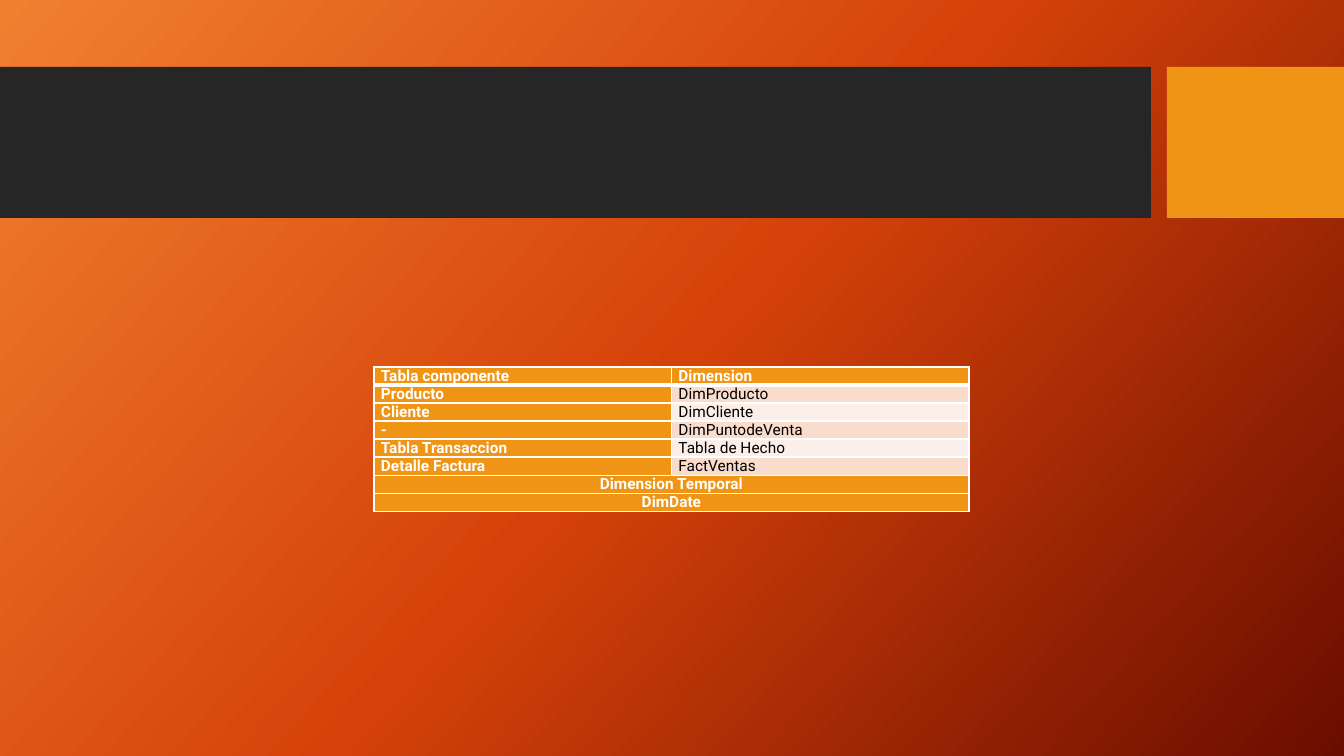
from copy import deepcopy

from lxml import etree
from pptx import Presentation
from pptx import util as u
from pptx.dml.color import RGBColor
from pptx.enum import shapes, text
from pptx.oxml.ns import qn

DARK = RGBColor(0x26, 0x26, 0x26)
AMBER = RGBColor(0xF0, 0x94, 0x15)
PEACH = RGBColor(0xF9, 0xDC, 0xCC)
CREAM = RGBColor(0xFC, 0xEE, 0xE8)
WHITE = RGBColor(0xFF, 0xFF, 0xFF)
BLACK = RGBColor(0x00, 0x00, 0x00)
GLOW = [RGBColor(0xF1, 0x80, 0x31), RGBColor(0xD5, 0x42, 0x09),
        RGBColor(0x6A, 0x0D, 0x00)]

PAIRS = [
    ("Tabla componente", "Dimension"),
    ("Producto", "DimProducto"),
    ("Cliente", "DimCliente"),
    ("-", "DimPuntodeVenta"),
    ("Tabla Transaccion", "Tabla de Hecho"),
    ("Detalle Factura", "FactVentas"),
]
SPANS = ["Dimension Temporal", "DimDate"]


def px(n):
    return u.Emu(round(n * 914400 / 100.8))


class Deck:
    font = "Roboto"
    size = u.Pt(11)

    def __init__(self, wide, high):
        self.prs = Presentation()
        self.prs.slide_width, self.prs.slide_height = px(wide), px(high)
        self.slide = self.prs.slides.add_slide(self.prs.slide_layouts[6])

    def backdrop(self, hues, angle):
        fill = self.slide.background.fill
        fill.gradient()
        fill.gradient_angle = 360 - angle
        # The default gradient has two stops: add the middle one
        stops = self.slide._element.find(".//" + qn("a:gsLst"))
        stops.insert(1, deepcopy(stops[0]))
        for i, (stop, hue) in enumerate(zip(fill.gradient_stops, hues)):
            stop.position = i / (len(hues) - 1)
            stop.color.rgb = hue

    def block(self, x, y, w, h, hue):
        box = self.slide.shapes.add_shape(
            shapes.MSO_SHAPE.RECTANGLE, px(x), px(y), px(w), px(h))
        box.shadow.inherit = False
        box.fill.solid()
        box.fill.fore_color.rgb = hue
        box.line.fill.background()

    def grid(self, x, y, w, row, rows, cols):
        frame = self.slide.shapes.add_table(
            rows, cols, px(x), px(y), px(w), px(row * rows))
        table = frame.table
        table.first_row = table.horz_banding = False
        for line in table.rows:
            line.height = px(row)
        return table

    def edges(self, cell, top, bottom):
        props = cell._tc.get_or_add_tcPr()
        for side, width in zip("LRTB", (1, 1, top, bottom)):
            line = etree.SubElement(props, qn("a:ln" + side), w=str(u.Pt(width)))
            fill = etree.SubElement(line, qn("a:solidFill"))
            etree.SubElement(fill, qn("a:srgbClr"), val=str(WHITE))

    def cell(self, cell, words, hue, ink, bold, align):
        cell.fill.solid()
        cell.fill.fore_color.rgb = hue
        cell.margin_left = cell.margin_right = px(7)
        cell.margin_top = cell.margin_bottom = 0
        para = cell.text_frame.paragraphs[0]
        para.text = words
        para.alignment = align
        font = para.runs[0].font
        font.name, font.size = self.font, self.size
        font.bold, font.color.rgb = bold, ink


def main():
    deck = Deck(1344, 756)
    deck.backdrop(GLOW, 42)

    # Title band and accent block
    deck.block(0, 67, 1151, 151, DARK)
    deck.block(1167, 67, 177, 151, AMBER)

    # Table with a heavy rule under the header
    table = deck.grid(374, 367, 595, 18, len(PAIRS) + len(SPANS), 2)
    for r in range(len(table.rows)):
        for c in range(2):
            deck.edges(table.cell(r, c), 3 if r == 1 else 1, 3 if r == 0 else 1)

    # Component and dimension pairs
    left = text.PP_ALIGN.JUSTIFY
    for r, (part, dim) in enumerate(PAIRS):
        deck.cell(table.cell(r, 0), part, AMBER, WHITE, True, left)
        if r == 0:
            look = AMBER, WHITE, True
        else:
            look = PEACH if r % 2 else CREAM, BLACK, False
        deck.cell(table.cell(r, 1), dim, *look, left)

    # Full-width rows
    for r, words in enumerate(SPANS, len(PAIRS)):
        table.cell(r, 0).merge(table.cell(r, 1))
        deck.cell(table.cell(r, 0), words, AMBER, WHITE, True,
                  text.PP_ALIGN.CENTER)

    deck.prs.save("out.pptx")


if __name__ == "__main__":
    main()
